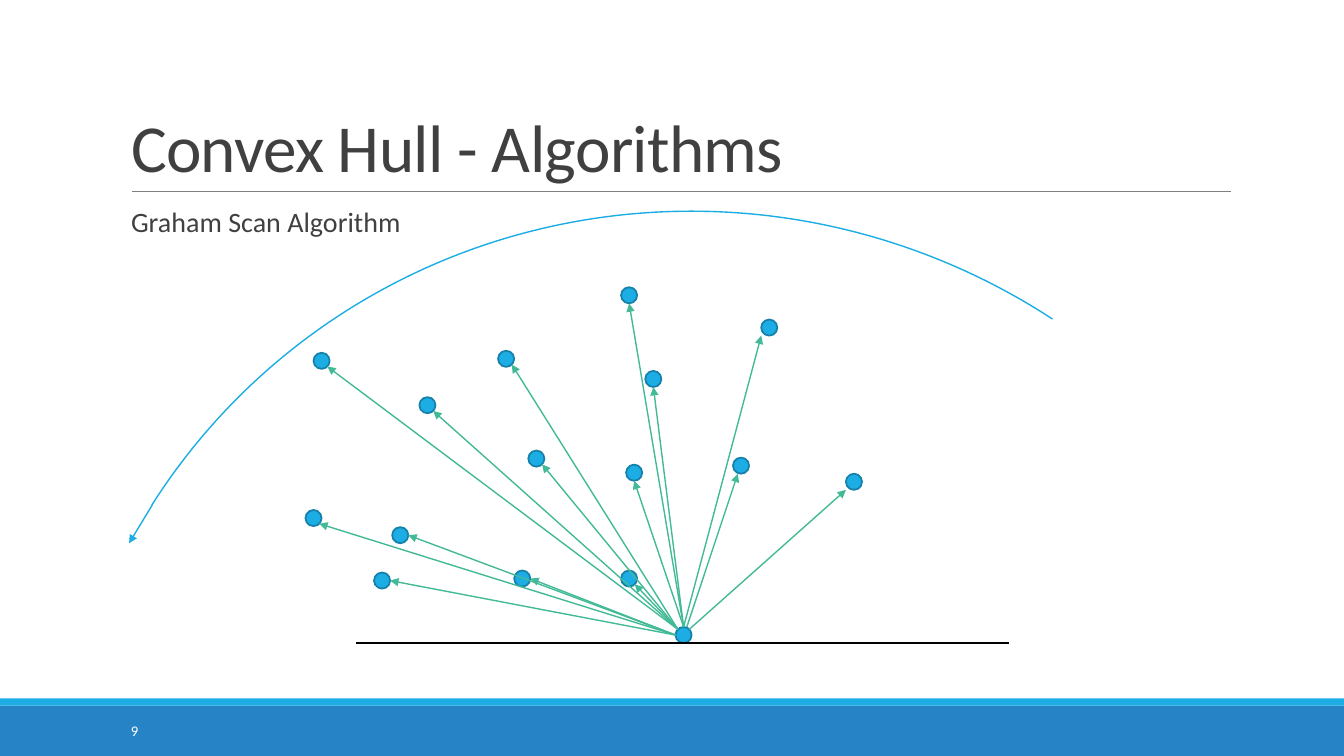
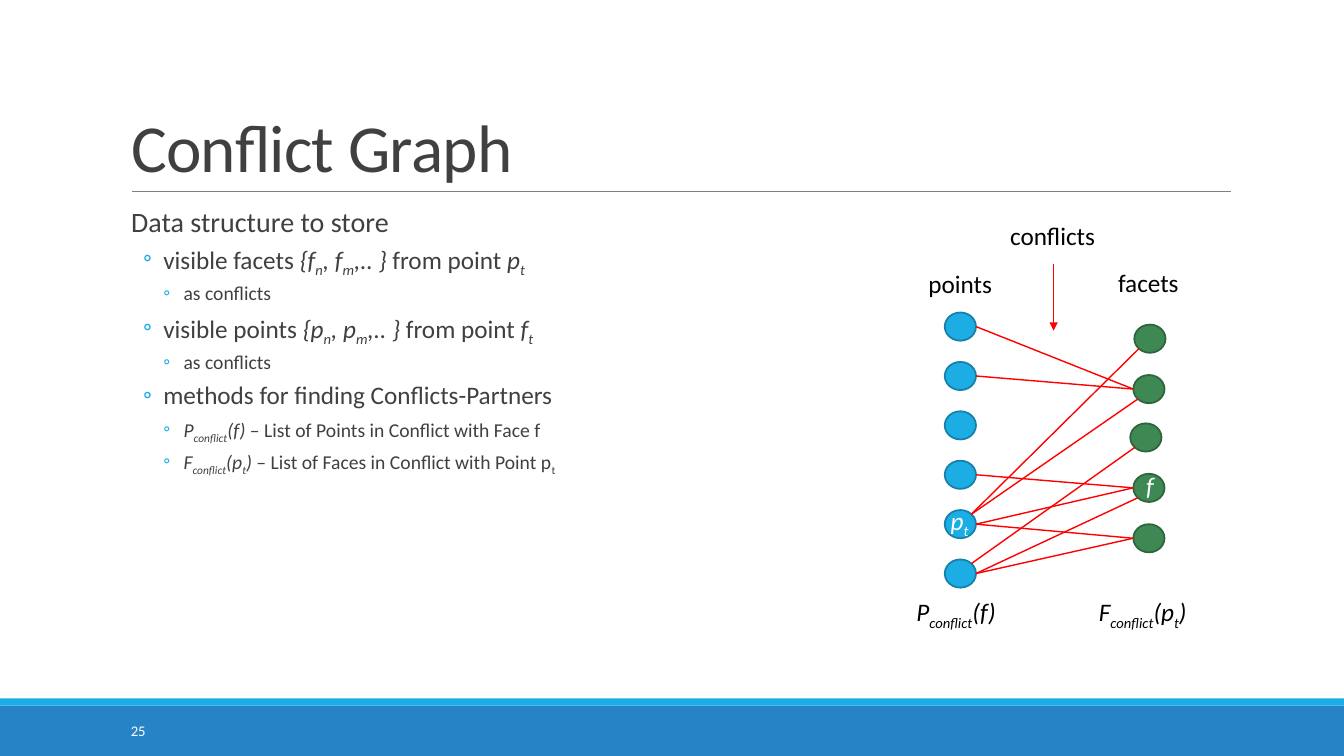
"""Build two slides on the Graham scan and the conflict graph."""
from dataclasses import dataclass
from enum import Enum
from typing import NamedTuple, Optional

from lxml.etree import SubElement
from pptx import Presentation
from pptx.dml.color import RGBColor
from pptx.enum.shapes import MSO_CONNECTOR as Connector, MSO_SHAPE as Shape
from pptx.enum.text import MSO_ANCHOR as Anchor, MSO_AUTO_SIZE as AutoSize, PP_ALIGN as Align
from pptx.oxml.ns import qn
from pptx.util import Inches, Pt

FONT = "Calibri"
WHITE = RGBColor(0xFF, 0xFF, 0xFF)
BLACK = RGBColor(0x00, 0x00, 0x00)
TEXT = RGBColor(0x40, 0x40, 0x40)
RULE = RGBColor(0x80, 0x80, 0x80)
BAND = RGBColor(0x26, 0x83, 0xC6)
BLUE = RGBColor(0x1C, 0xAD, 0xE4)
BLUE_EDGE = RGBColor(0x15, 0x80, 0xA9)
GREEN = RGBColor(0x3E, 0x88, 0x53)
GREEN_EDGE = RGBColor(0x2E, 0x65, 0x3D)
RAY = RGBColor(0x42, 0xBA, 0x97)
CONFLICT = RGBColor(0xFF, 0x00, 0x00)

SLIDE_WIDTH = 13.33
DOT = 0.16


class Site(Enum):
    """Place on a node as fractions of its width and height."""
    TOP = (0.5, 0)
    TOP_INNER = (0.7, 0)
    TOP_LEFT = (0.15, 0.15)
    TOP_RIGHT = (0.85, 0.15)
    LEFT = (0, 0.5)
    RIGHT = (1, 0.5)
    BOTTOM = (0.5, 1)
    BOTTOM_INNER = (0.3, 1)
    BOTTOM_LEFT = (0.15, 0.85)
    BOTTOM_RIGHT = (0.85, 0.85)
    CORNER = (0, 1)


class Span(NamedTuple):
    """Piece of text with its slant and subscript."""
    text: str
    italic: bool = False
    sub: bool = False


class Level(NamedTuple):
    """Look of one list level."""
    indent: float
    hanging: float
    size: float
    before: float
    after: float
    bullet: str


class Item(NamedTuple):
    """One list paragraph."""
    level: int
    spans: list[Span]


class Ray(NamedTuple):
    """Scanned point with the ends of the ray that reaches it."""
    left: float
    top: float
    start: Site
    end: Site


class Edge(NamedTuple):
    """Conflict between a point and a facet."""
    point: int
    start: Site
    facet: int
    end: Site


class Label(NamedTuple):
    """Caption in the conflict graph."""
    left: float
    top: float
    width: float
    spans: list[Span]
    color: RGBColor = BLACK


@dataclass(frozen=True)
class Node:
    """Ellipse of a graph."""
    left: float
    top: float
    width: float
    height: float
    fill: RGBColor = BLUE
    edge: RGBColor = BLUE_EDGE

    def at(self, site: Site) -> tuple[float, float]:
        """Return the position of a site."""
        across, down = site.value
        return self.left + across * self.width, self.top + down * self.height


def it(text: str) -> Span:
    """Return an italic span."""
    return Span(text, True)


def sub(text: str, italic: bool = True) -> Span:
    """Return a subscript span."""
    return Span(text, italic, True)


LEVELS = [
    Level(0.1, 0, 20, 12, 2, ""),
    Level(0.42, -0.2, 18, 2, 4, "◦"),
    Level(0.62, -0.2, 14, 2, 4, "◦"),
]
P_CONFLICT = [it("P"), sub("conflict"), it("(f)")]
F_CONFLICT = [it("F"), sub("conflict"), it("(p"), sub("t"), it(")")]

SCAN_ITEMS = [Item(0, [Span("Graham Scan Algorithm")])]
PIVOT = Node(6.7, 6.22, DOT, DOT)
RAYS = [
    Ray(8.39, 4.7, Site.TOP_RIGHT, Site.CORNER),
    Ray(7.27, 4.54, Site.TOP_INNER, Site.BOTTOM_INNER),
    Ray(7.55, 3.17, Site.TOP, Site.CORNER),
    Ray(6.4, 3.68, Site.TOP, Site.BOTTOM),
    Ray(6.16, 2.85, Site.TOP, Site.BOTTOM),
    Ray(6.21, 4.61, Site.TOP, Site.BOTTOM),
    Ray(4.94, 3.48, Site.TOP_LEFT, Site.BOTTOM_RIGHT),
    Ray(6.16, 5.66, Site.TOP_LEFT, Site.BOTTOM_RIGHT),
    Ray(5.24, 4.47, Site.TOP_LEFT, Site.BOTTOM_RIGHT),
    Ray(4.16, 3.94, Site.TOP_LEFT, Site.BOTTOM_RIGHT),
    Ray(3.11, 3.5, Site.TOP_LEFT, Site.BOTTOM_RIGHT),
    Ray(5.1, 5.66, Site.LEFT, Site.RIGHT),
    Ray(3.89, 5.23, Site.LEFT, Site.RIGHT),
    Ray(3.03, 5.06, Site.LEFT, Site.BOTTOM_RIGHT),
    Ray(3.71, 5.68, Site.LEFT, Site.RIGHT),
]

GRAPH_ITEMS = [
    Item(0, [Span("Data structure to store")]),
    Item(1, [Span("visible facets "), it("{f"), sub("n"), it(", f"), sub("m"), it(",.. } "),
             Span("from point "), it("p"), sub("t")]),
    Item(2, [Span("as conflicts")]),
    Item(1, [Span("visible points "), it("{p"), sub("n"), it(", p"), sub("m"), it(",.. } "),
             Span("from point "), it("f"), sub("t")]),
    Item(2, [Span("as conflicts")]),
    Item(1, [Span("methods for finding Conflicts-Partners")]),
    Item(2, P_CONFLICT + [Span(" – List of Points in Conflict with Face f")]),
    Item(2, F_CONFLICT + [Span(" – List of Faces in Conflict with Point p"), sub("t", False)]),
]
POINTS = [Node(9.37, 3.1 + 0.49 * row, 0.31, 0.28) for row in range(6)]
FACETS = [
    Node(left, top, 0.31, 0.28, GREEN, GREEN_EDGE)
    for left, top in [(11.25, 3.22), (11.24, 3.72), (11.21, 4.2), (11.24, 4.7), (11.24, 5.2)]
]
EDGES = [
    Edge(0, Site.RIGHT, 1, Site.LEFT),
    Edge(1, Site.RIGHT, 1, Site.LEFT),
    Edge(3, Site.RIGHT, 3, Site.LEFT),
    Edge(4, Site.TOP_RIGHT, 0, Site.BOTTOM_LEFT),
    Edge(4, Site.TOP_RIGHT, 1, Site.BOTTOM_LEFT),
    Edge(4, Site.RIGHT, 3, Site.LEFT),
    Edge(4, Site.RIGHT, 4, Site.LEFT),
    Edge(5, Site.TOP_RIGHT, 2, Site.BOTTOM_LEFT),
    Edge(5, Site.RIGHT, 3, Site.BOTTOM_LEFT),
    Edge(5, Site.RIGHT, 4, Site.LEFT),
]
LABELS = [
    Label(9.92, 2.14, 1.05, [Span("conflicts")]),
    Label(9.11, 2.61, 0.84, [Span("points")]),
    Label(10.99, 2.6, 0.81, [Span("facets")]),
    Label(8.99, 5.87, 1.06, P_CONFLICT),
    Label(10.8, 5.87, 1.19, F_CONFLICT),
    Label(9.33, 4.96, 0.39, [it("p"), sub("t")], WHITE),
    Label(11.27, 4.62, 0.28, [it("f")], WHITE),
]


def place(shape, left: float, top: float, width: float, height: float) -> None:
    """Move and size a shape in inches."""
    shape.left, shape.top = Inches(left), Inches(top)
    shape.width, shape.height = Inches(width), Inches(height)


def write(paragraph, spans: list[Span], size: float, color: RGBColor) -> None:
    """Fill a paragraph with spans in one font."""
    font = paragraph.font
    font.name, font.size, font.color.rgb = FONT, Pt(size), color
    for span in spans:
        run = paragraph.add_run()
        run.text = span.text
        if span.italic:
            run.font.italic = True
        if span.sub:
            run._r.get_or_add_rPr().set("baseline", "-25000")


def add_line(slide, start: tuple[float, float], end: tuple[float, float],
             color: RGBColor, weight: float = 1, arrow: bool = False) -> None:
    """Draw a straight line, with an arrowhead at its end on request."""
    line = slide.shapes.add_connector(Connector.STRAIGHT, *map(Inches, start + end))
    line.line.color.rgb, line.line.width = color, Pt(weight)
    if arrow:
        SubElement(line.line._get_or_add_ln(), qn("a:tailEnd"), type="triangle")
    SubElement(line._element.spPr, qn("a:effectLst"))


def add_figure(slide, kind: Shape, box: tuple[float, float, float, float],
               fill: Optional[RGBColor], edge: Optional[RGBColor], weight: float = 1):
    """Draw a preset shape without shadow."""
    figure = slide.shapes.add_shape(kind, *map(Inches, box))
    figure.shadow.inherit = False
    if fill is None:
        figure.fill.background()
    else:
        figure.fill.solid()
        figure.fill.fore_color.rgb = fill
    if edge is None:
        figure.line.fill.background()
    else:
        figure.line.color.rgb, figure.line.width = edge, Pt(weight)
    return figure


def add_node(slide, node: Node) -> None:
    """Draw a graph node."""
    box = (node.left, node.top, node.width, node.height)
    add_figure(slide, Shape.OVAL, box, node.fill, node.edge, 1.25)


def add_label(slide, label: Label) -> None:
    """Draw an unwrapped caption."""
    caption = slide.shapes.add_textbox(*map(Inches, (label.left, label.top, label.width, 0.4)))
    caption.text_frame.word_wrap = False
    caption.text_frame.auto_size = AutoSize.SHAPE_TO_FIT_TEXT
    write(caption.text_frame.paragraphs[0], label.spans, 18, label.color)


def fill_list(body, items: list[Item]) -> None:
    """Write the list items into the body placeholder."""
    frame = body.text_frame
    frame.auto_size, frame.vertical_anchor = AutoSize.NONE, Anchor.TOP
    frame.margin_left = frame.margin_right = 0
    for index, item in enumerate(items):
        paragraph = frame.add_paragraph() if index else frame.paragraphs[0]
        level = LEVELS[item.level]
        paragraph.level, paragraph.line_spacing = item.level, 0.9
        paragraph.space_before = Pt(level.before if index else 0)
        paragraph.space_after = Pt(level.after)
        props = paragraph._p.get_or_add_pPr()
        props.set("marL", str(Inches(level.indent)))
        props.set("indent", str(Inches(level.hanging)))
        if level.bullet:
            SubElement(SubElement(props, qn("a:buClr")), qn("a:srgbClr"), val=str(BLUE))
            SubElement(props, qn("a:buFont"), typeface=FONT)
            SubElement(props, qn("a:buChar"), char=level.bullet)
        else:
            SubElement(props, qn("a:buNone"))
        write(paragraph, item.spans, level.size, TEXT)


def add_slide(deck, title: str, number: str, items: list[Item], width: float, height: float):
    """Add a slide with bands, title, list and page number."""
    slide = deck.slides.add_slide(deck.slide_layouts[1])
    add_figure(slide, Shape.RECTANGLE, (0, 7, SLIDE_WIDTH, 0.5), BAND, None)
    add_figure(slide, Shape.RECTANGLE, (0, 6.93, SLIDE_WIDTH, 0.07), BLUE, None)
    add_line(slide, (1.31, 1.9), (12.21, 1.9), RULE, 0.5)
    heading, body = slide.shapes.title, slide.placeholders[1]
    place(heading, 1.2, 0.31, 11, 1.59)
    heading.text_frame.auto_size = AutoSize.NONE
    heading.text_frame.vertical_anchor = Anchor.BOTTOM
    line = heading.text_frame.paragraphs[0]
    line.alignment, line.line_spacing = Align.LEFT, 0.85
    write(line, [Span(title)], 48, TEXT)
    line.runs[0]._r.get_or_add_rPr().set("spc", "-50")
    place(body, 1.2, 2.02, width, height)
    fill_list(body, items)
    page = slide.shapes.add_textbox(*map(Inches, (1.2, 7.05, 1.43, 0.4))).text_frame
    page.word_wrap, page.vertical_anchor = True, Anchor.MIDDLE
    write(page.paragraphs[0], [Span(number)], 10.5, WHITE)
    return slide


def build_scan(deck) -> None:
    """Build the Graham scan slide."""
    slide = add_slide(deck, "Convex Hull - Algorithms", "9", SCAN_ITEMS, 11, 0.82)
    targets = [Node(ray.left, ray.top, DOT, DOT) for ray in RAYS]
    for node in [PIVOT, *targets]:
        add_node(slide, node)
    add_line(slide, (3.53, 6.38), (10.01, 6.38), BLACK)
    for ray, target in zip(RAYS, targets):
        add_line(slide, PIVOT.at(ray.start), target.at(ray.end), RAY, arrow=True)
    sweep = add_figure(slide, Shape.ARC, (0.62, 2.01, 12.69, 12.93), None, BLUE)
    sweep.rotation = 302.4
    sweep.adjustments[0], sweep.adjustments[1] = 162, 0.48
    add_line(slide, (1.51, 5.01), (1.28, 5.39), BLUE, arrow=True)


def build_graph(deck) -> None:
    """Build the conflict graph slide."""
    slide = add_slide(deck, "Conflict Graph", "25", GRAPH_ITEMS, 7.49, 4.4)
    for node in POINTS + FACETS:
        add_node(slide, node)
    for edge in EDGES:
        add_line(slide, POINTS[edge.point].at(edge.start), FACETS[edge.facet].at(edge.end), CONFLICT)
    add_line(slide, (10.45, 2.62), (10.45, 3.28), CONFLICT, arrow=True)
    for label in LABELS:
        add_label(slide, label)


def main() -> None:
    """Build and save the deck."""
    deck = Presentation()
    deck.slide_width, deck.slide_height = Inches(SLIDE_WIDTH), Inches(7.5)
    build_scan(deck)
    build_graph(deck)
    deck.save("out.pptx")


if __name__ == "__main__":
    main()
